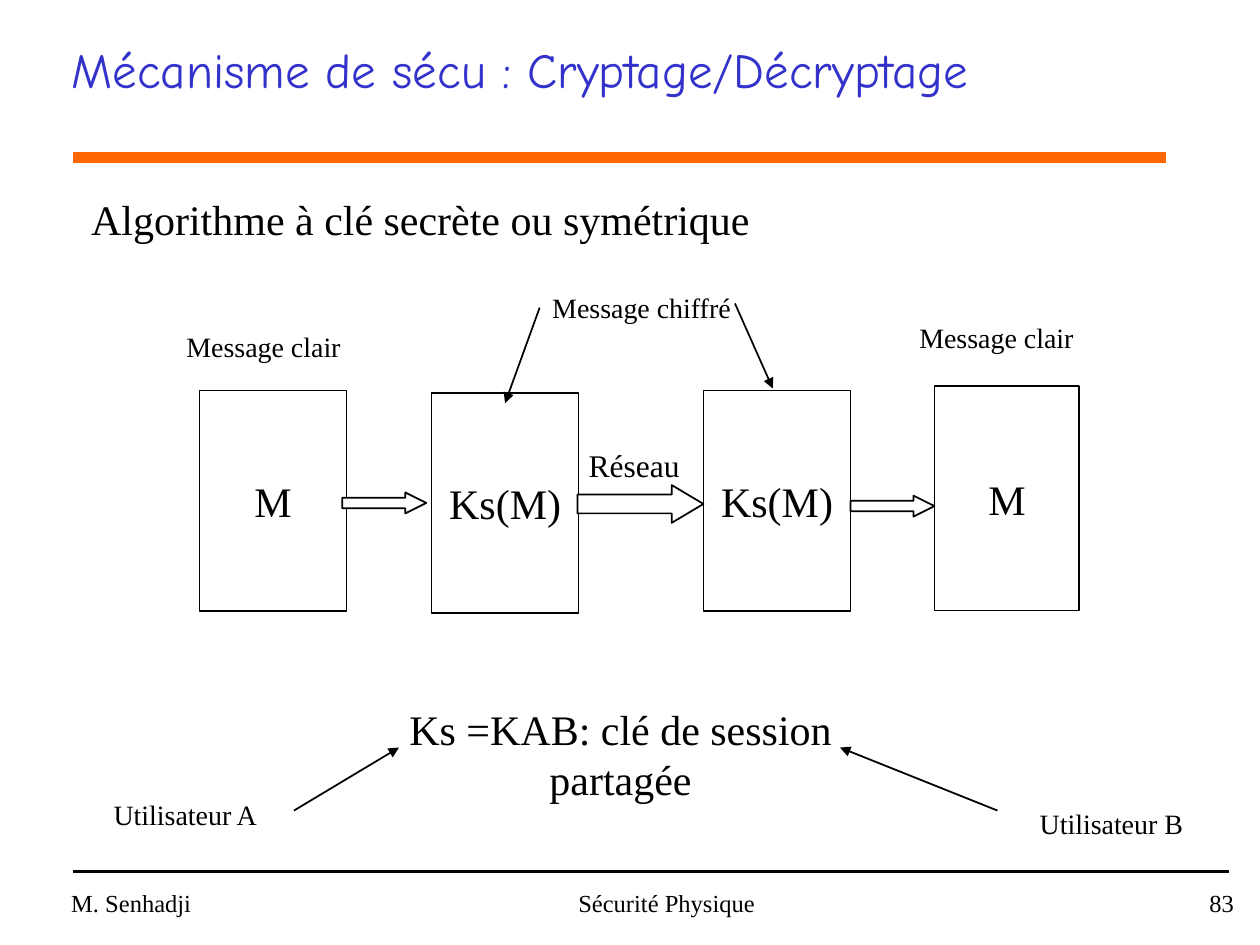
"""Build a slide on symmetric encryption with a shared session key."""
from lxml.etree import SubElement
from pptx import Presentation
from pptx.dml.color import RGBColor
from pptx.enum.shapes import MSO_CONNECTOR as Connector, MSO_SHAPE as Shape
from pptx.enum.text import MSO_ANCHOR as Anchor, MSO_AUTO_SIZE as AutoSize, PP_ALIGN as Align
from pptx.oxml.ns import qn
from pptx.util import Inches, Pt

COLUMNS, ROWS = 120, 90
COLORS = {"ink": "000000", "paper": "FFFFFF", "title": "3333CC", "rule": "FF6600"}
SERIF, COMIC = "Times New Roman", "Comic Neue"

RULES = [((7, 15, 111, 15), "rule", 6), ((7, 83, 117, 83), "ink", 2.25)]
FOOTER = [
    ("M. Senhadji", (0, 84, 25, 6), Align.CENTER),
    ("Sécurité Physique", (44.5, 84, 38, 6), Align.CENTER),
    ("83", (103.1, 84, 15.6, 6), Align.RIGHT),
]
MESSAGES = [
    ("Ks(M)", (41.1, 37.4, 14, 21)),
    ("Ks(M)", (67, 37.2, 14, 21)),
    ("M", (19, 37.2, 14, 21)),
    ("M", (89, 36.75, 13.8, 21.4)),
]
BLOCK_ARROWS = [
    ((32.6, 46.9, 8, 2), 1),
    ((81, 47.2, 8, 2), 1),
    ((55, 46.2, 12, 3.6), 0.84),
]
LABELS = [
    ("Message clair", (16.4, 30.75, 17.4, 4.4), 16),
    ("Message clair", (86.2, 29.9, 17.4, 4.4), 16),
    ("Message chiffré", (51.2, 27.1, 19.8, 4.4), 16),
    ("Utilisateur A", (9.4, 75.4, 16.5, 4.4), 16),
    ("Utilisateur B", (97.6, 76.2, 16.5, 4.4), 16),
    ("Réseau", (54.4, 41.9, 12, 4.8), 18),
]
POINTERS = [
    (28, 77.2, 38, 71.2),
    (95, 77.2, 80, 71.2),
    (51.4, 29.3, 48.1, 38.4),
    (70, 28.9, 73.6, 37),
]
SESSION_KEY = "Ks =KAB: clé de session\npartagée"
SUBTITLE = "Algorithme à clé secrète ou symétrique"
TITLE = "Mécanisme de sécu : Cryptage/Décryptage"

presentation = Presentation()
presentation.slide_width, presentation.slide_height = Inches(10), Inches(7.5)
slide = presentation.slides.add_slide(presentation.slide_layouts[6])


def color(name):
    return RGBColor.from_string(COLORS[name])


def on_grid(area):
    units = (presentation.slide_width / COLUMNS, presentation.slide_height / ROWS) * 2
    return [round(value * unit) for value, unit in zip(area, units)]


def write(frame, text, size=24, font=SERIF, ink="ink", align=Align.CENTER,
          anchor=Anchor.MIDDLE, wrap=True, grow=False):
    frame.word_wrap = wrap
    frame.auto_size = AutoSize.SHAPE_TO_FIT_TEXT if grow else AutoSize.NONE
    frame.vertical_anchor = anchor
    frame.text = text
    for paragraph in frame.paragraphs:
        paragraph.alignment = align
        paragraph.font.size = Pt(size)
        paragraph.font.name = font
        paragraph.font.color.rgb = color(ink)


def add_label(text, area, **style):
    write(slide.shapes.add_textbox(*on_grid(area)).text_frame, text, **style)


def add_outlined(kind, area):
    shape = slide.shapes.add_shape(kind, *on_grid(area))
    shape.shadow.inherit = False
    shape.fill.solid()
    shape.fill.fore_color.rgb = color("paper")
    shape.line.color.rgb = color("ink")
    shape.line.width = Pt(1)
    return shape


def add_line(ends, ink="ink", width=1, arrow=False):
    line = slide.shapes.add_connector(Connector.STRAIGHT, *on_grid(ends))
    line.line.color.rgb = color(ink)
    line.line.width = Pt(width)
    if arrow:
        SubElement(line.line._get_or_add_ln(), qn("a:tailEnd"), type="triangle")
    SubElement(line._element.spPr, qn("a:effectLst"))


for ends, ink, width in RULES:
    add_line(ends, ink, width)
for text, area, align in FOOTER:
    add_label(text, area, size=14, align=align, anchor=Anchor.TOP)
for text, area in MESSAGES:
    write(add_outlined(Shape.RECTANGLE, area).text_frame, text, wrap=False)
for area, head in BLOCK_ARROWS:
    add_outlined(Shape.RIGHT_ARROW, area).adjustments[1] = head
for text, area, size in LABELS:
    add_label(text, area, size=size, wrap=False, grow=True)
add_label(SESSION_KEY, (33, 66.4, 52.2, 10.8), grow=True)
for ends in POINTERS:
    add_line(ends, arrow=True)
add_label(SUBTITLE, (7.5, 17.8, 97.4, 6.1), align=Align.LEFT, anchor=Anchor.TOP, grow=True)
add_label(TITLE, (5.65, 1.1, 106.9, 11), size=28, font=COMIC, ink="title", align=Align.LEFT)

presentation.save("out.pptx")
